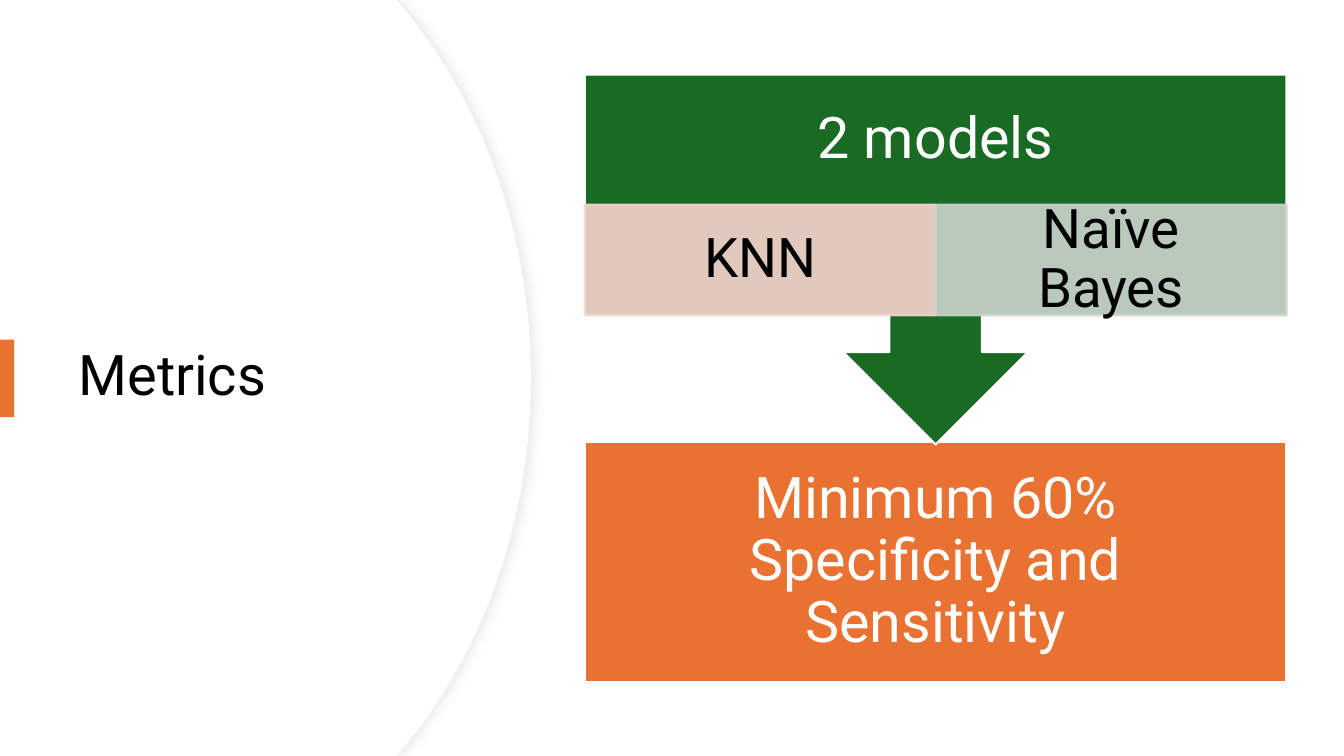
from lxml import etree
from pptx import Presentation
from pptx.dml.color import RGBColor
from pptx.enum.shapes import MSO_SHAPE
from pptx.enum.text import MSO_ANCHOR, PP_ALIGN
from pptx.oxml.ns import qn
from pptx.util import Inches, Pt

RECTANGLE, CALLOUT = MSO_SHAPE.RECTANGLE, MSO_SHAPE.UP_ARROW_CALLOUT
MIDDLE = MSO_ANCHOR.MIDDLE
LEFT, CENTER = PP_ALIGN.LEFT, PP_ALIGN.CENTER

WIDTH, HEIGHT = 13.33, 7.5
FONT = "Roboto"
WHITE = RGBColor(0xFF, 0xFF, 0xFF)
BLACK = RGBColor(0, 0, 0)
ORANGE = RGBColor(0xE9, 0x71, 0x32)
GREEN = RGBColor(0x19, 0x6B, 0x24)
PEACH = RGBColor(0xF7, 0xD5, 0xCE)
SAGE = RGBColor(0xCC, 0xD4, 0xCD)
EDGE = RGBColor(0xEF, 0xEF, 0xEF)
SHADE = RGBColor(0xD9, 0xD9, 0xD9)


def paint(shape, fill, line=None, weight=1.5, opacity=100):
    shape.shadow.inherit = False
    shape.fill.solid()
    shape.fill.fore_color.rgb = fill
    if line is None:
        shape.line.fill.background()
    else:
        shape.line.color.rgb = line
        shape.line.width = Pt(weight)
    if opacity < 100:
        for color in shape._element.spPr.iter(qn("a:srgbClr")):
            etree.SubElement(color, qn("a:alpha"), val=str(opacity * 1000))


def write(shape, text, size, color, align=CENTER, inset=(0.1, 0.05)):
    frame = shape.text_frame
    frame.text = text
    frame.word_wrap = True
    frame.vertical_anchor = MIDDLE
    frame.margin_left = frame.margin_right = Inches(inset[0])
    frame.margin_top = frame.margin_bottom = Inches(inset[1])
    para = frame.paragraphs[0]
    para.alignment = align
    para.line_spacing = 0.9
    font = para.runs[0].font
    font.name, font.size, font.color.rgb = FONT, Pt(size), color


def add_block(page, kind, box):
    return page.shapes.add_shape(kind, *map(Inches, box))


def bend(segment, controls):
    """Turn a straight outline segment into a cubic curve."""
    cubic = etree.Element(qn("a:cubicBezTo"))
    for x, y in controls:
        etree.SubElement(cubic, qn("a:pt"), x=str(Inches(x)), y=str(Inches(y)))
    cubic.append(segment[0])
    segment.getparent().replace(segment, cubic)


def add_round_panel(page, right):
    """White panel from the left edge of the slide, bulging to the right."""
    upper = [(right - 1.33, 0), (right - 1.26, 0.08)]
    controls = [(right - 0.48, 1.02), (right, 2.32)]
    lower, lower_controls = ([(x, HEIGHT - y) for x, y in reversed(points)]
                             for points in (upper, controls))
    outline = upper + [(right, HEIGHT / 2)] + lower + [(0, HEIGHT)]
    builder = page.shapes.build_freeform(0, 0)
    builder.add_line_segments([(Inches(x), Inches(y)) for x, y in outline], close=True)
    panel = builder.convert_to_shape()
    segments = list(panel._element.spPr.iter(qn("a:lnTo")))
    bend(segments[2], controls)
    bend(segments[3], lower_controls)
    return panel


def add_title_side(page, box):
    # Panel with a soft shadow, and a plain one on top
    shaded = add_round_panel(page, 5.27)
    paint(shaded, WHITE, EDGE, 0.75)
    effects = shaded._element.spPr.find(qn("a:effectLst"))
    shadow = etree.SubElement(effects, qn("a:outerShdw"), blurRad=str(Pt(7)),
                              dist=str(Pt(3)), dir="0", rotWithShape="0")
    color = etree.SubElement(shadow, qn("a:srgbClr"), val=str(SHADE))
    etree.SubElement(color, qn("a:alpha"), val="50000")
    paint(add_round_panel(page, 5.26), WHITE)

    # Title, brought in front of the panels
    title = page.shapes.title
    title.left, title.top, title.width, title.height = map(Inches, box)
    write(title, "Metrics", 40, BLACK, LEFT)
    page.shapes._spTree.append(title._element)

    # Accent bar at the slide's edge
    paint(add_block(page, RECTANGLE, (0, 3.37, 0.14, 0.77)), ORANGE)


def add_process(page, box):
    left, top, width, height = box
    head_height, model_height, goal_height, callout_height = 1.29, 1.1, 2.39, 3.67

    # Goal
    goal = add_block(page, RECTANGLE, (left, top + height - goal_height, width, goal_height))
    paint(goal, ORANGE, WHITE)
    write(goal, "Minimum 60% Specificity and Sensitivity", 41, WHITE, inset=(0.32, 0.32))

    # Callout pointing down to the goal, with its heading
    callout = add_block(page, CALLOUT, (left, top, width, callout_height))
    callout.rotation = 180
    paint(callout, GREEN, WHITE)
    heading = page.shapes.add_textbox(*map(Inches, (left, top, width, head_height)))
    write(heading, "2 models", 41, WHITE, inset=(0.32, 0.32))

    # Models
    models = (("KNN", PEACH), ("Naïve Bayes", SAGE))
    column = width / len(models)
    for index, (name, color) in enumerate(models):
        model = add_block(page, RECTANGLE,
                          (left + index * column, top + head_height, column, model_height))
        paint(model, color, color, opacity=90)
        write(model, name, 39, BLACK, inset=(0.3, 0.05))


def main():
    deck = Presentation()
    deck.slide_width, deck.slide_height = Inches(WIDTH), Inches(HEIGHT)
    page = deck.slides.add_slide(deck.slide_layouts.get_by_name("Title Only"))
    add_title_side(page, (0.68, 1.27, 3.94, 4.95))
    add_process(page, (5.8, 0.74, 6.96, 6.03))
    deck.save("out.pptx")


if __name__ == "__main__":
    main()
